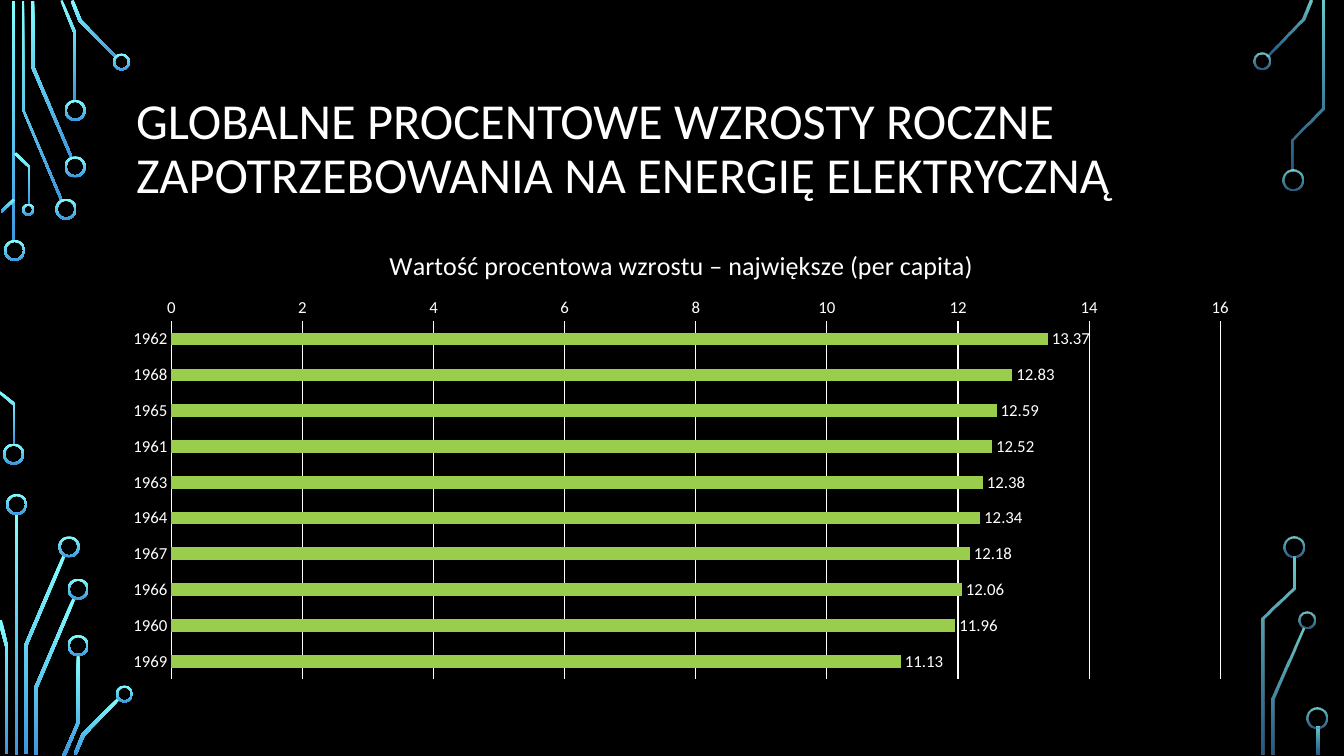
from lxml.etree import SubElement
from pptx import Presentation
from pptx.chart.data import CategoryChartData
from pptx.dml.color import RGBColor
from pptx.enum.chart import XL_CHART_TYPE as ChartType, XL_LABEL_POSITION as LabelPosition
from pptx.enum.chart import XL_TICK_MARK as TickMark
from pptx.enum.shapes import MSO_SHAPE as Preset
from pptx.enum.text import MSO_ANCHOR, PP_ALIGN
from pptx.oxml.ns import qn
from pptx.util import Inches, Pt

BLACK = RGBColor(0x00, 0x00, 0x00)
WHITE = RGBColor(0xFF, 0xFF, 0xFF)
GREEN = RGBColor(0x9A, 0xCD, 0x4C)
CYAN = RGBColor(0x82, 0xFF, 0xFF)
BLUE = RGBColor(0x3D, 0x97, 0xDE)
FONT = "Calibri"
RING_WIDTH = 0.02


def paint(shape, opacities):
    """Vertical cyan-to-blue gradient; opacities holds a percentage per stop."""
    shape.shadow.inherit = False
    shape.line.fill.background()
    shape.fill.gradient()
    shape.fill.gradient_angle = 270
    for stop, color, opacity in zip(shape.fill.gradient_stops, (CYAN, BLUE), opacities):
        stop.color.rgb = color
        if opacity < 100:
            for node in shape._element.spPr.iter(qn("a:srgbClr")):
                if node.get("val") == str(color):
                    SubElement(node, qn("a:alpha"), val=str(opacity * 1000))


def place(parent, position, **shares):
    """Fix a chart part at shares of the chart's size."""
    for old in parent.findall(qn("c:layout")):
        parent.remove(old)
    layout = SubElement(parent, qn("c:layout"))
    parent.insert(position, layout)
    manual = SubElement(layout, qn("c:manualLayout"))
    if "w" in shares:
        SubElement(manual, qn("c:layoutTarget"), val="inner")
    for axis in ("x", "y"):
        SubElement(manual, qn(f"c:{axis}Mode"), val="edge")
    for name, share in shares.items():
        SubElement(manual, qn(f"c:{name}"), val=str(share))


deck = Presentation()
deck.slide_width, deck.slide_height = Inches(13.33), Inches(7.5)
page = deck.slides.add_slide(deck.slide_layouts[5])
page.background.fill.solid()
page.background.fill.fore_color.rgb = BLACK

# Circuit decoration: straight bars (left, top, width, height),
# bent traces (outline points) and rings (left, top, diameter)
left_side = {
    "bars": [(0.12, 0.01, 0.03, 2.39), (0.15, 5.1, 0.03, 2.39)],
    "traces": [
        [(0.6, 1.99), (0.22, 1.09), (0.22, 0.01), (0.24, 0.01), (0.24, 1.09), (0.62, 1.98)],
        [(0.7, 1.57), (0.31, 0.67), (0.31, 0.01), (0.34, 0.01), (0.34, 0.66), (0.72, 1.56)],
        [(0.76, 1), (0.73, 1), (0.73, 0.33), (0.6, 0.01), (0.62, 0), (0.76, 0.33)],
        [(1.15, 0.58), (0.78, 0.21), (0.7, 0.01), (0.73, 0), (0.81, 0.2), (1.16, 0.56)],
        [(0.02, 2.11), (0.01, 2.09), (0.13, 1.97), (0.15, 1.99)],
        [(0.15, 4.41), (0.13, 4.41), (0.13, 4.02), (0, 3.91), (0, 3.88), (0.15, 4)],
        [(0.3, 2.03), (0.28, 2.03), (0.28, 1.66), (0.14, 1.53), (0.16, 1.51), (0.3, 1.65)],
        [(0.27, 7.48), (0.24, 7.48), (0.24, 6.4), (0.62, 5.51), (0.65, 5.52), (0.27, 6.41)],
        [(0.08, 7.48), (0.05, 7.48), (0.05, 6.41), (0, 6.23), (0, 6.15), (0.02, 6.15), (0.08, 6.41)],
        [(0.37, 7.49), (0.34, 7.49), (0.34, 6.82), (0.72, 5.93), (0.75, 5.94), (0.37, 6.83)],
        [(0.65, 7.5), (0.62, 7.49), (0.76, 7.17), (0.76, 6.5), (0.79, 6.5), (0.79, 7.17)],
        [(0.76, 7.49), (0.73, 7.48), (0.81, 7.28), (1.17, 6.92), (1.19, 6.94), (0.84, 7.3)],
    ],
    "rings": [
        (0.04, 2.38, 0.21), (0.03, 4.4, 0.21), (0.55, 1.97, 0.21), (0.64, 1.55, 0.21),
        (0.64, 0.99, 0.21), (1.12, 0.53, 0.17), (0.22, 2.02, 0.12), (0.06, 4.9, 0.21),
        (0.58, 5.32, 0.21), (0.67, 5.74, 0.21), (0.67, 6.3, 0.21), (1.15, 6.8, 0.17),
    ],
}
right_side = {
    "bars": [(13.06, 7.21, 0.03, 0.28)],
    "traces": [
        [(12.58, 0.56), (12.56, 0.55), (12.91, 0.19), (12.99, 0), (13.02, 0.01), (12.94, 0.2)],
        [(12.64, 7.49), (12.61, 7.49), (12.61, 6.93), (12.92, 6.23), (12.94, 6.24), (12.64, 6.94)],
        [(12.83, 1.69), (12.81, 1.69), (12.81, 1.38), (13.11, 1.07), (13.11, 0.01),
         (13.14, 0.01), (13.14, 1.08), (12.83, 1.39)],
        [(12.54, 7.49), (12.51, 7.49), (12.51, 6.13), (12.82, 5.83), (12.82, 5.52),
         (12.85, 5.52), (12.85, 5.84), (12.54, 6.14)],
    ],
    "rings": [
        (12.43, 0.52, 0.17), (12.72, 1.68, 0.21), (12.88, 6.07, 0.17),
        (12.73, 5.32, 0.21), (12.96, 7.02, 0.21),
    ],
}
for side, opacities in ((left_side, (100, 100)), (right_side, (80, 60))):
    for bar in side["bars"]:
        paint(page.shapes.add_shape(Preset.RECTANGLE, *map(Inches, bar)), opacities)
    for trace in side["traces"]:
        start, *corners = [(Inches(x), Inches(y)) for x, y in trace]
        outline = page.shapes.build_freeform(*start)
        outline.add_line_segments(corners, close=True)
        paint(outline.convert_to_shape(), opacities)
    for left, top, size in side["rings"]:
        ring = page.shapes.add_shape(Preset.DONUT, *map(Inches, (left, top, size, size)))
        ring.adjustments[0] = RING_WIDTH / size
        paint(ring, opacities)

# Title
title = page.shapes.title
title.left, title.top, title.width, title.height = map(Inches, (1.25, 0.68, 10.83, 1.62))
title.text_frame.text = "GLOBALNE PROCENTOWE WZROSTY ROCZNE ZAPOTRZEBOWANIA NA ENERGIĘ ELEKTRYCZNĄ"
title.text_frame.word_wrap = True
title.text_frame.vertical_anchor = MSO_ANCHOR.MIDDLE
para = title.text_frame.paragraphs[0]
para.alignment = PP_ALIGN.LEFT
para.line_spacing = 0.9
title_font = para.runs[0].font
title_font.name, title_font.size, title_font.color.rgb = FONT, Pt(36), WHITE

# Growth chart
growth = {
    "1962": 13.37, "1968": 12.83, "1965": 12.59, "1961": 12.52, "1963": 12.38,
    "1964": 12.34, "1967": 12.18, "1966": 12.06, "1960": 11.96, "1969": 11.13,
}
data = CategoryChartData()
data.categories = list(growth)
data.add_series("Series 1", list(growth.values()))
chart = page.shapes.add_chart(
    ChartType.BAR_CLUSTERED, *map(Inches, (1.1, 2.29, 11.32, 4.53)), data).chart
chart.has_legend = False
chart.font.name, chart.font.size, chart.font.color.rgb = FONT, Pt(12), WHITE

chart.has_title = True
heading = chart.chart_title.text_frame
heading.text = "Wartość procentowa wzrostu – największe (per capita)"
heading_font = heading.paragraphs[0].runs[0].font
heading_font.name, heading_font.size, heading_font.color.rgb = FONT, Pt(18.6), WHITE
heading_font.bold = False
chart.chart_title.include_in_layout = False
place(chart.chart_title._element, 1, x=0.24, y=0.025)

plot = chart.plots[0]
plot.gap_width = 182
plot.vary_by_categories = False
series = plot.series[0]
series.format.fill.solid()
series.format.fill.fore_color.rgb = GREEN
plot.has_data_labels = True
labels = plot.data_labels
labels.show_value = True
labels.position = LabelPosition.OUTSIDE_END
labels.font.name, labels.font.size, labels.font.color.rgb = FONT, Pt(12), WHITE
place(chart._chartSpace.chart.plotArea, 0, x=0.053, y=0.198, w=0.919, h=0.784)

# Axes
years, percents = chart.category_axis, chart.value_axis
for axis in (years, percents):
    axis.major_tick_mark = axis.minor_tick_mark = TickMark.NONE
    axis.tick_labels.font.name = FONT
    axis.tick_labels.font.size = Pt(12)
    axis.tick_labels.font.color.rgb = WHITE
years.reverse_order = True
percents.minimum_scale, percents.maximum_scale, percents.major_unit = 0, 16, 2
percents.has_major_gridlines = True
percents.format.line.fill.background()
for line in (years.format.line, percents.major_gridlines.format.line):
    line.color.rgb = WHITE
    line.width = Pt(0.75)

deck.save("out.pptx")
